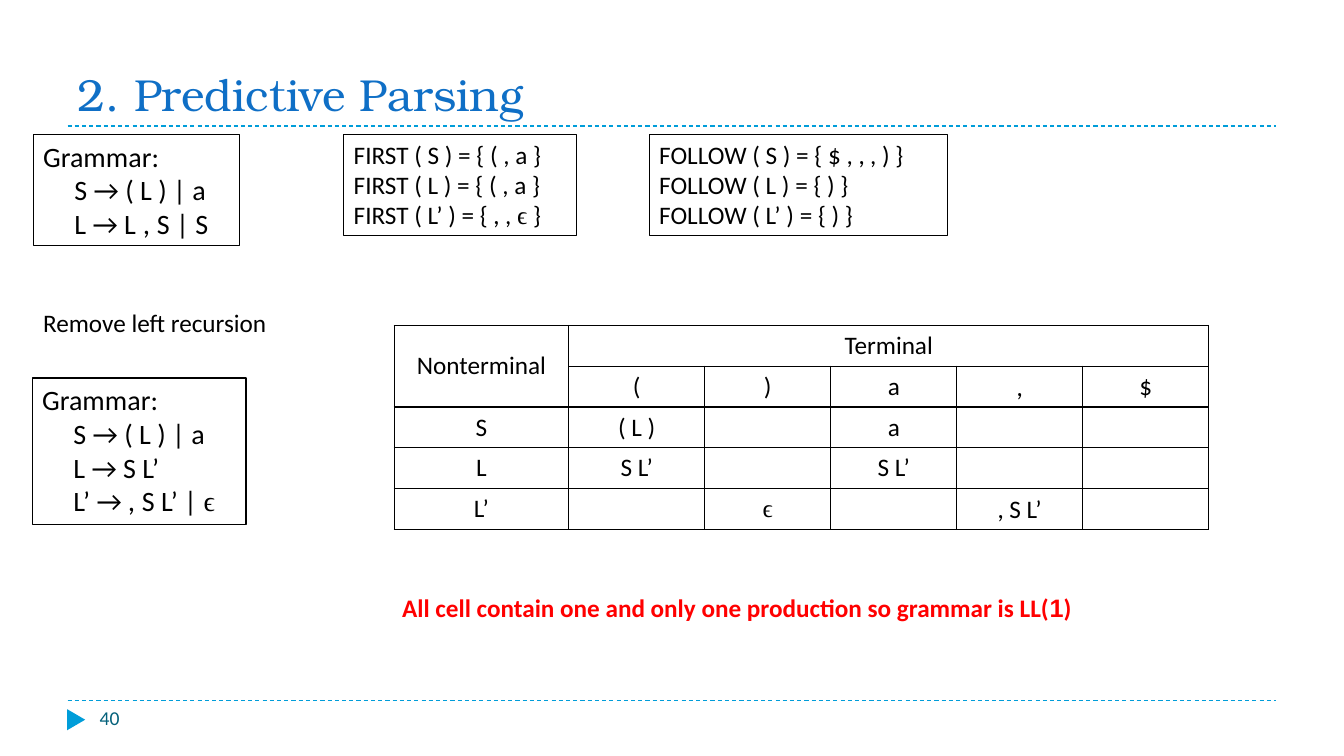
from lxml import etree
from pptx import Presentation
from pptx import util as u
from pptx.dml.color import RGBColor
from pptx.enum import dml, shapes, text
from pptx.oxml.ns import qn

BLACK, RED, SKY, BLUE, TEAL = "000000", "FF0000", "009DD9", "0F6FC6", "04617B"
COMMA, SPACED_COMMA, EPSILON = (",", "Lato"), (", ", "Lato"), ("ϵ", "Times New Roman")


def color(value):
    return RGBColor.from_string(value)


def place(box):
    return [u.Inches(length) for length in box]


def write(para, pieces, size, ink=BLACK, bold=False):
    """Fill a paragraph with a string, or with pieces that are strings or (string, font)."""
    for piece in [pieces] if isinstance(pieces, str) else pieces:
        words, face = (piece, "Calibri") if isinstance(piece, str) else piece
        span = para.add_run()
        span.text = words
        span.font.name = face
        span.font.size = u.Pt(size)
        span.font.bold = bold
        span.font.color.rgb = color(ink)


def add_lines(page, box, lines, size=18, ink=BLACK, bold=False, framed=False, indent=0.0):
    """Add a text box; indent applies to every line after the first."""
    shape = page.shapes.add_textbox(*place(box))
    if framed:
        shape.line.color.rgb = color(BLACK)
        shape.line.width = u.Pt(0.75)
    frame = shape.text_frame
    frame.word_wrap = True
    for index, line in enumerate(lines):
        para = frame.add_paragraph() if index else frame.paragraphs[0]
        if index and indent:
            para._p.get_or_add_pPr().set("marL", str(u.Inches(indent)))
        write(para, line, size, ink, bold)


def add_rule(page, left, right, top):
    rule = page.shapes.add_connector(
        shapes.MSO_CONNECTOR.STRAIGHT, *place((left, top, right, top)))
    rule.line.color.rgb = color(SKY)
    rule.line.width = u.Pt(0.75)
    rule.line.dash_style = dml.MSO_LINE.DASH
    etree.SubElement(rule._element.spPr, qn("a:effectLst"))


def add_title(page, box, words):
    title = page.shapes.title
    title.left, title.top, title.width, title.height = place(box)
    frame = title.text_frame
    frame.vertical_anchor = text.MSO_ANCHOR.BOTTOM
    para = frame.paragraphs[0]
    para.alignment = text.PP_ALIGN.LEFT
    write(para, [(words, "TeX Gyre Bonum")], 32, BLUE)


def add_footer(page, box, number):
    left, top, width, height = box
    add_rule(page, left, left + width, top)
    marker = page.shapes.add_shape(
        shapes.MSO_SHAPE.ISOSCELES_TRIANGLE, *place((left - 0.02, top + 0.1, 0.21, 0.18)))
    marker.rotation = 90
    marker.shadow.inherit = False
    marker.fill.solid()
    marker.fill.fore_color.rgb = color(SKY)
    marker.line.fill.background()
    add_lines(page, (left + 0.22, top, 2.89, height), [number], 14, TEAL)


def border_cell(cell):
    properties = cell._tc.get_or_add_tcPr()
    for side in ("a:lnL", "a:lnR", "a:lnT", "a:lnB"):
        line = etree.SubElement(properties, qn(side), w=str(u.Pt(1)))
        fill = etree.SubElement(line, qn("a:solidFill"))
        etree.SubElement(fill, qn("a:srgbClr"), val=BLACK)
    cell.fill.background()


def add_parsing_table(page, box, widths, rows):
    table = page.shapes.add_table(len(rows), len(widths), *place(box)).table
    table.first_row = table.horz_banding = False
    for column, width in zip(table.columns, widths):
        column.width = u.Inches(width)
    for row, values in zip(table.rows, rows):
        row.height = u.Inches(box[3] / len(rows))
        for cell, value in zip(row.cells, values):
            border_cell(cell)
            cell.margin_left = cell.margin_right = u.Inches(0.13)
            cell.vertical_anchor = text.MSO_ANCHOR.MIDDLE
            para = cell.text_frame.paragraphs[0]
            para.alignment = text.PP_ALIGN.CENTER
            write(para, value, 18) if value else None
    table.cell(0, 0).merge(table.cell(1, 0))
    table.cell(0, 1).merge(table.cell(0, len(widths) - 1))


def build_parsing_slide(deck):
    page = deck.slides.add_slide(deck.slide_layouts[5])
    add_title(page, (0.67, 0.25, 12, 1), "2. Predictive Parsing")
    add_rule(page, 0.67, 12.66, 1.25)
    add_footer(page, (0.67, 6.95, 11.99, 0.4), "40")

    add_lines(page, (0.33, 1.33, 2.05, 1.11), [
        "Grammar:", "S → ( L ) | a", ["L → L", (" , ", "Lato"), "S | S"],
    ], size=20, framed=True, indent=0.31)
    add_lines(page, (3.41, 1.33, 2.31, 1.01), [
        "FIRST ( S ) = { ( , a }",
        "FIRST ( L ) = { ( , a }",
        ["FIRST ( L’ ) = { ", COMMA, " , ", EPSILON, " }"],
    ], framed=True)
    add_lines(page, (6.44, 1.33, 2.96, 1.01), [
        ["FOLLOW ( S ) = { $ , ", COMMA, " , ) }"],
        "FOLLOW ( L ) = { ) }",
        "FOLLOW ( L’ ) = { ) }",
    ], framed=True)
    add_lines(page, (0.33, 3, 2.47, 0.4), ["Remove left recursion"])
    add_lines(page, (0.32, 3.75, 2.12, 1.45), [
        "Grammar:", "S → ( L ) | a", "L → S L’",
        ["L’ → ", SPACED_COMMA, "S L’ | ", EPSILON],
    ], size=20, framed=True, indent=0.31)

    add_parsing_table(page, (3.91, 3.23, 8.08, 2.02), [1.73, 1.35] + [1.25] * 4, [
        ["Nonterminal", "Terminal", "", "", "", ""],
        ["", "(", ")", "a", [COMMA], "$"],
        ["S", "( L )", "", "a", "", ""],
        ["L", "S L’", "", "S L’", "", ""],
        ["L’", "", [EPSILON], "", [COMMA, " S L’"], ""],
    ])
    add_lines(page, (3.89, 5.83, 7.9, 0.4), [
        ["All cell contain one and only one production so grammar is LL(", ("1", "Arial"), ")"],
    ], ink=RED, bold=True)


def main():
    deck = Presentation()
    deck.slide_width, deck.slide_height = u.Inches(13.33), u.Inches(7.5)
    build_parsing_slide(deck)
    deck.save("out.pptx")


if __name__ == "__main__":
    main()
